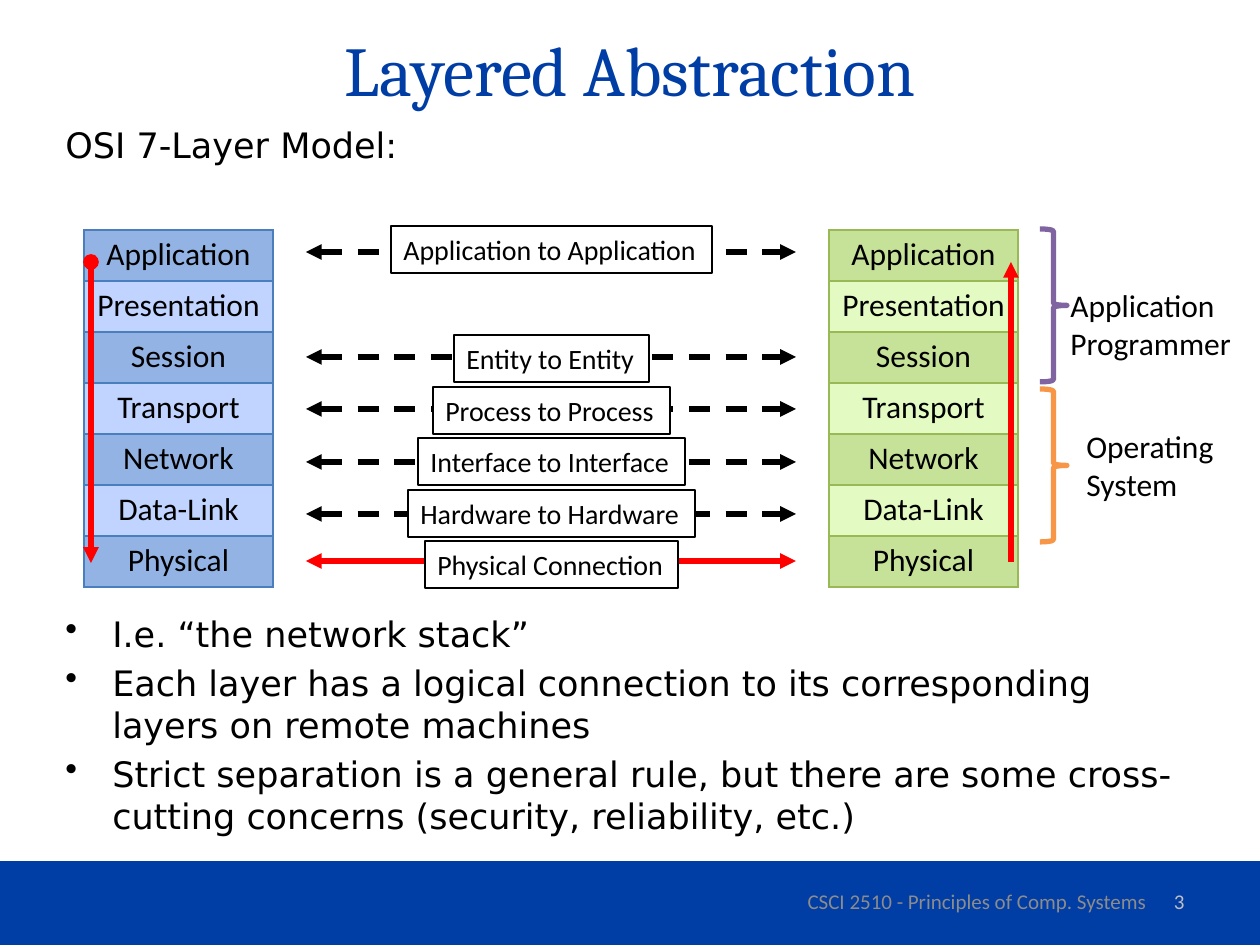
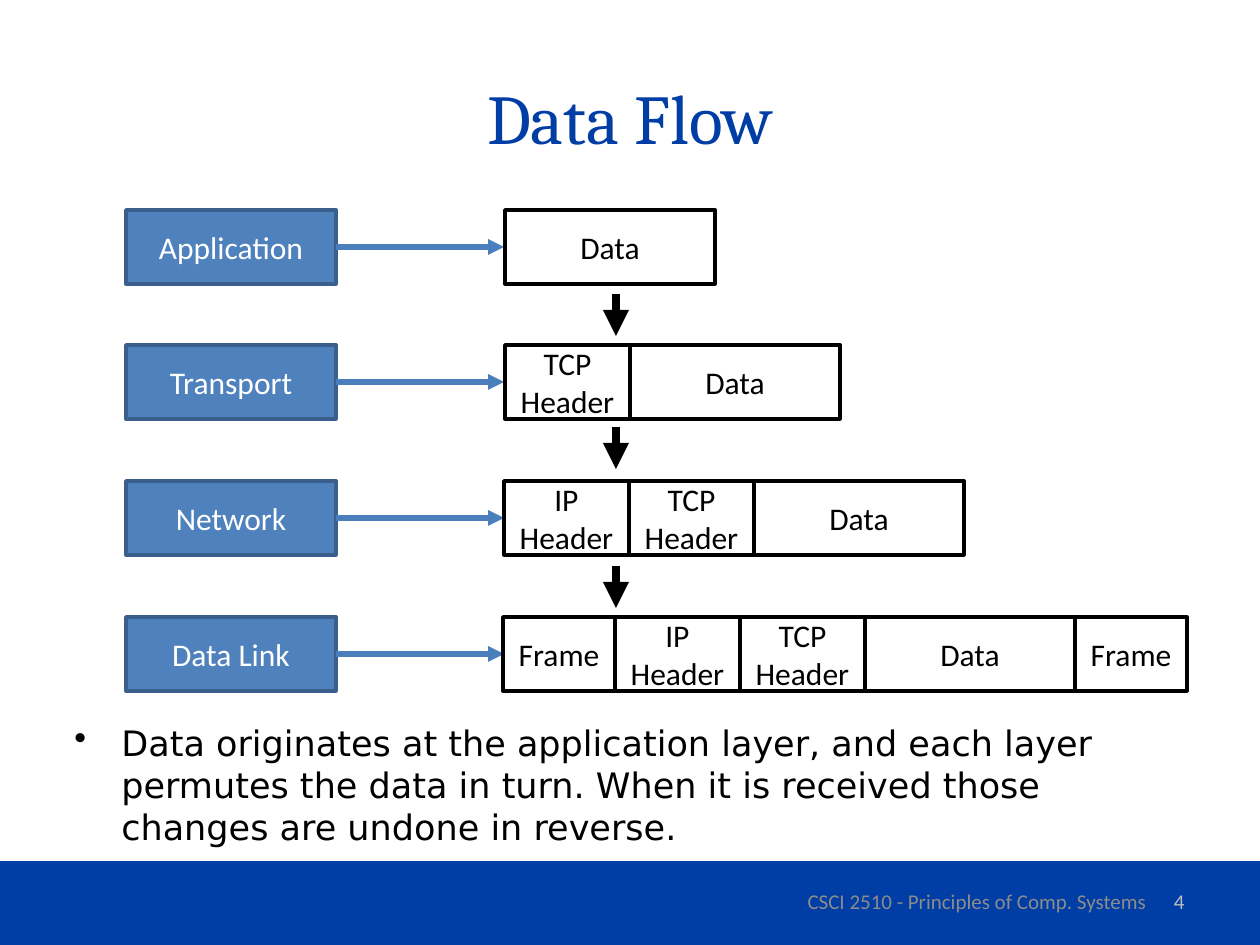
"""Build two slides on network layers and data flow."""
import pptx
import pptx.dml.color
import pptx.enum.dml
import pptx.enum.shapes
import pptx.enum.text
import pptx.oxml
import pptx.oxml.ns
import pptx.util
from lxml import etree

SHAPE = pptx.enum.shapes.MSO_SHAPE
ALIGN = pptx.enum.text.PP_ALIGN
ANCHOR = pptx.enum.text.MSO_ANCHOR
AUTO = pptx.enum.text.MSO_AUTO_SIZE
DASH = pptx.enum.dml.MSO_LINE.DASH
Pt = pptx.util.Pt

BLUE, BLACK, WHITE, RED = "003DA5", "000000", "FFFFFF", "FF0000"
STEEL, STEEL_EDGE, STEEL_LINE = "4F81BD", "3A5F8C", "4B7EBC"
TITLE = {"name": "Cambria", "size": Pt(40)}
BODY = {"name": "DejaVu Sans", "size": Pt(20)}
LABEL = {"name": "Calibri", "size": Pt(18)}
SMALL = {"name": "Calibri", "size": Pt(16)}
FOOTER = {"name": "Calibri", "size": Pt(12)}


def px(n):
    return round(n * 914400 / 126)


def rgb(value):
    return pptx.dml.color.RGBColor.from_string(value)


def sub(parent, tag, **attrs):
    return etree.SubElement(parent, pptx.oxml.ns.qn(tag), attrs)


class Deck:
    def __init__(self):
        self.prs = pptx.Presentation()
        self.prs.slide_width, self.prs.slide_height = px(1260), px(945)
        self.s = None

    def slide(self, title, top, number):
        self.s = self.prs.slides.add_slide(self.prs.slide_layouts[5])
        sp = self.s.shapes.title
        place = {"left": px(63), "top": px(top), "width": px(1134), "height": px(158)}
        for key, value in place.items():
            setattr(sp, key, value)
        sp.text_frame.vertical_anchor = ANCHOR.MIDDLE
        self.fill_text(sp.text_frame.paragraphs[0], title, TITLE, BLUE, ALIGN.CENTER)
        self.shape(0, 861, 1260, 84, BLUE)
        self.text("CSCI 2510 - Principles of Comp. Systems", 777, 876, 400, 50,
                  FOOTER, "8C8C8C", ALIGN.CENTER, ANCHOR.MIDDLE)
        self.text(str(number), 903, 876, 294, 50, FOOTER, "BFBFBF",
                  ALIGN.RIGHT, ANCHOR.MIDDLE)

    def fill_text(self, p, text, fmt, color, align=ALIGN.LEFT):
        p.text = text
        p.alignment = align
        for r in p.runs:
            for key, value in fmt.items():
                setattr(r.font, key, value)
            r.font.color.rgb = rgb(color)

    def text(self, text, x, y, w, h, fmt, color=BLACK, align=ALIGN.LEFT,
             anchor=ANCHOR.TOP, wrap=True):
        sp = self.s.shapes.add_textbox(px(x), px(y), px(w), px(h))
        self.frame(sp.text_frame, anchor, wrap)
        self.fill_text(sp.text_frame.paragraphs[0], text, fmt, color, align)

    def frame(self, tf, anchor, wrap):
        tf.word_wrap = wrap
        tf.vertical_anchor = anchor
        if not wrap:
            tf.auto_size = AUTO.SHAPE_TO_FIT_TEXT

    def bullets(self, items, x, y, w, h):
        tf = self.s.shapes.add_textbox(px(x), px(y), px(w), px(h)).text_frame
        tf.word_wrap = True
        for i, item in enumerate(items):
            p = tf.add_paragraph() if i else tf.paragraphs[0]
            pPr = p._p.get_or_add_pPr()
            pPr.set("marL", str(px(47)))
            pPr.set("indent", str(-px(47)))
            sub(pPr, "a:buChar", char="•")
            if i:
                p.space_before = Pt(4)
            self.fill_text(p, item, BODY, BLACK)

    def shape(self, x, y, w, h, fill=None, line=None, weight=1, kind=SHAPE.RECTANGLE):
        sp = self.s.shapes.add_shape(kind, px(x), px(y), px(w), px(h))
        sp.shadow.inherit = False
        if fill:
            sp.fill.solid()
            sp.fill.fore_color.rgb = rgb(fill)
        else:
            sp.fill.background()
        if line:
            sp.line.color.rgb = rgb(line)
            sp.line.width = Pt(weight)
        else:
            sp.line.fill.background()
        return sp

    def box(self, text, x, y, w, h, fill=WHITE, line=BLACK, color=BLACK):
        sp = self.shape(x, y, w, h, fill, line, 2)
        self.frame(sp.text_frame, ANCHOR.MIDDLE, True)
        self.fill_text(sp.text_frame.paragraphs[0], text, LABEL, color, ALIGN.CENTER)

    def tag(self, text, x, y, w, h):
        sp = self.shape(x, y, w, h, WHITE, BLACK, 0.75)
        self.frame(sp.text_frame, ANCHOR.TOP, False)
        self.fill_text(sp.text_frame.paragraphs[0], text, SMALL, BLACK)

    def arrow(self, x1, y1, x2, y2, color, weight=3, head=None, dash=None):
        c = self.s.shapes.add_connector(pptx.enum.shapes.MSO_CONNECTOR.STRAIGHT,
                                        px(x1), px(y1), px(x2), px(y2))
        c.line.color.rgb = rgb(color)
        c.line.width = Pt(weight)
        if dash:
            c.line.dash_style = dash
        spPr = c.element.spPr
        ln = spPr.find(pptx.oxml.ns.qn("a:ln"))
        if head:
            sub(ln, "a:headEnd", type=head)
        sub(ln, "a:tailEnd", type="triangle")
        sub(spPr, "a:effectLst")

    def table(self, rows, x, y, w, row_h, fills, border):
        t = self.s.shapes.add_table(len(rows), 1, px(x), px(y), px(w),
                                    px(row_h * len(rows))).table
        t.first_row = t.horz_banding = False
        for i, text in enumerate(rows):
            cell = t.cell(i, 0)
            cell.margin_top = cell.margin_bottom = px(6)
            cell.fill.solid()
            cell.fill.fore_color.rgb = rgb(fills[i % 2])
            self.fill_text(cell.text_frame.paragraphs[0], text, LABEL, BLACK,
                           ALIGN.CENTER)
            tcPr = cell._tc.get_or_add_tcPr()
            for n, side in enumerate(("a:lnL", "a:lnR", "a:lnT", "a:lnB")):
                ln = sub(tcPr, side, w=str(Pt(0.75)))
                sub(sub(ln, "a:solidFill"), "a:srgbClr", val=border)
                tcPr.insert(n, ln)


def layered_abstraction(d):
    d.slide("Layered Abstraction", -10, 3)
    d.text("OSI 7-Layer Model:", 53, 117, 1134, 54, BODY)
    d.bullets(["I.e. “the network stack”",
               "Each layer has a logical connection to its corresponding layers "
               "on remote machines",
               "Strict separation is a general rule, but there are some "
               "cross-cutting concerns (security, reliability, etc.)"],
              53, 606, 1134, 250)
    layers = ["Application", "Presentation", "Session", "Transport", "Network",
              "Data-Link", "Physical"]
    d.table(layers, 84, 230, 189, 51, ("93B3E4", "C0D4FF"), STEEL_LINE)
    d.table(layers, 829, 230, 189, 51, ("C6E198", "E3FBC2"), "98B955")

    links = [("Application to Application", 252, 226, 321),
             ("Entity to Entity", 357, 335, 195),
             ("Process to Process", 409, 387, 237),
             ("Interface to Interface", 462, 438, 267),
             ("Hardware to Hardware", 514, 490, 287),
             ("Physical Connection", 561, 541, 253)]
    for text, line_y, top, w in links:
        physical = text.startswith("Physical")
        d.arrow(306, line_y, 796, line_y, RED if physical else BLACK,
                head="triangle", dash=None if physical else DASH)
        d.tag(text, 551 - w // 2, top, w, 47)
    d.arrow(91, 262, 91, 563, RED, head="oval")
    d.arrow(1011, 562, 1011, 262, RED)

    roles = [("Application\nProgrammer", 229, "8064A2", 1058, 280, 188),
             ("Operating\nSystem", 389, "F79646", 1074, 421, 154)]
    for text, top, color, x, y, w in roles:
        d.shape(1040, top, 27, 153, None, color, 3, SHAPE.RIGHT_BRACE)
        d.text(text, x, y, w, 89, LABEL, wrap=False)


def data_flow(d):
    d.slide("Data Flow", 38, 4)
    widths = {"Data": 210, "TCP Header": 125, "IP Header": 125, "Frame": 112}
    rows = [("Application", 505, ["Data"]),
            ("Transport", 505, ["TCP Header", "Data"]),
            ("Network", 504, ["IP Header", "TCP Header", "Data"]),
            ("Data Link", 503, ["Frame", "IP Header", "TCP Header", "Data", "Frame"])]
    for i, (layer, x, parts) in enumerate(rows):
        y = 210 + 407 * i // 3
        d.box(layer, 126, y, 210, 74, STEEL, STEEL_EDGE, WHITE)
        d.arrow(336, y + 37, 504, y + 37, STEEL_LINE)
        for part in parts:
            d.box(part, x, y, widths[part], 74)
            x += widths[part]
    for y in (294, 427, 566):
        d.arrow(616, y, 616, y + 42, BLACK, 5)
    d.bullets(["Data originates at the application layer, and each layer permutes "
               "the data in turn. When it is received those changes are undone in "
               "reverse."], 62, 715, 1134, 130)


def main():
    d = Deck()
    layered_abstraction(d)
    data_flow(d)
    d.prs.save("out.pptx")


if __name__ == "__main__":
    main()
